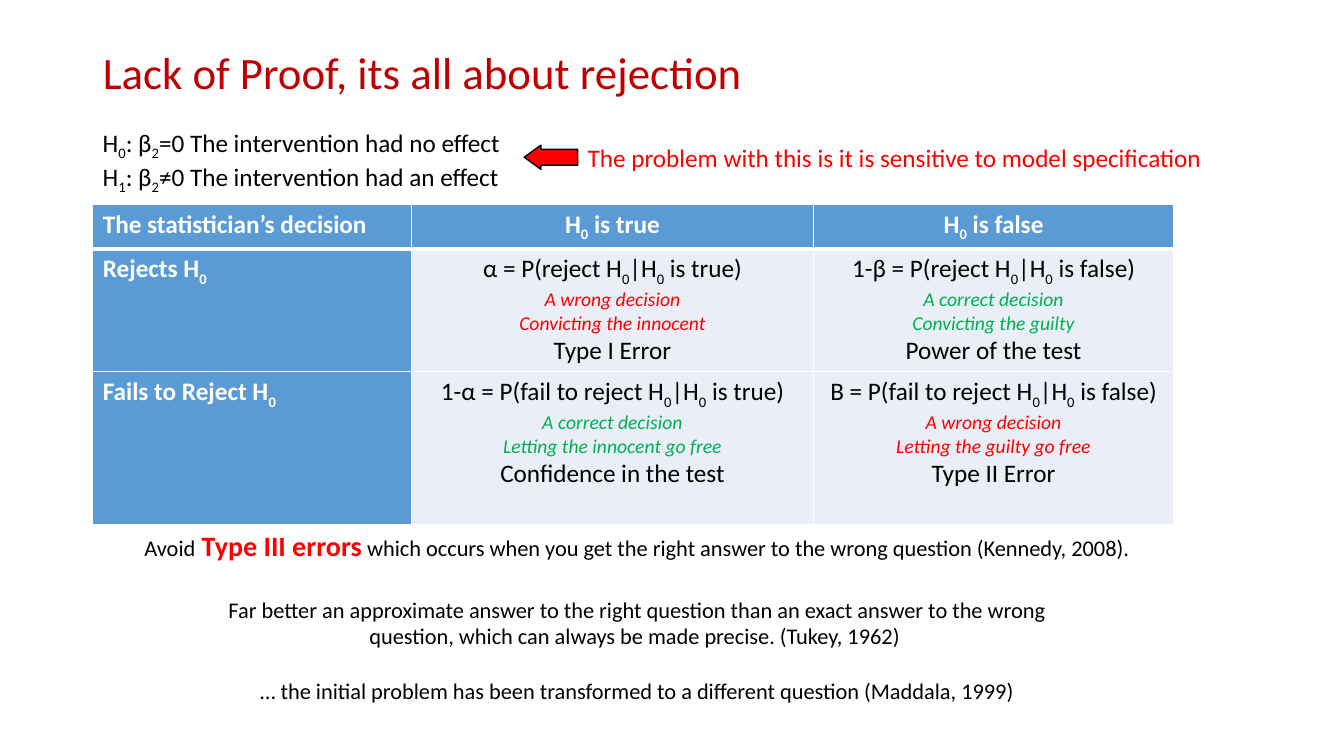
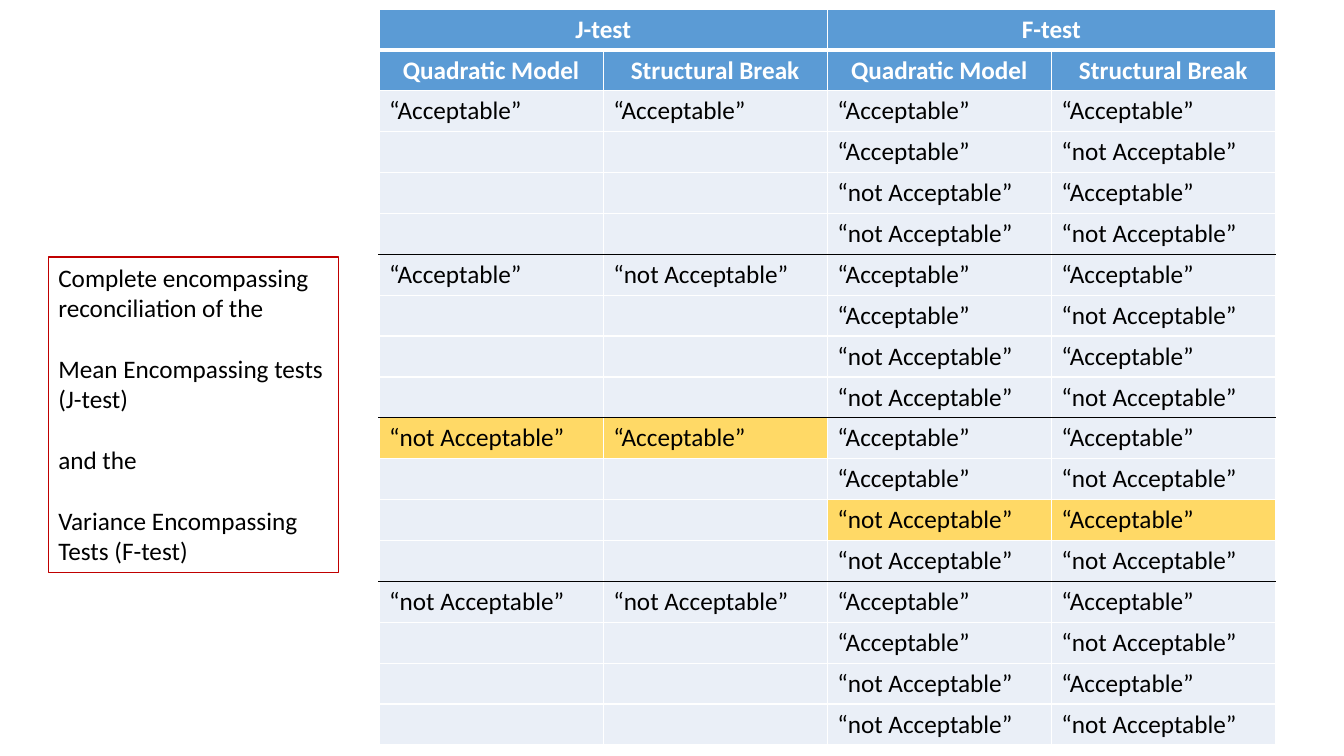
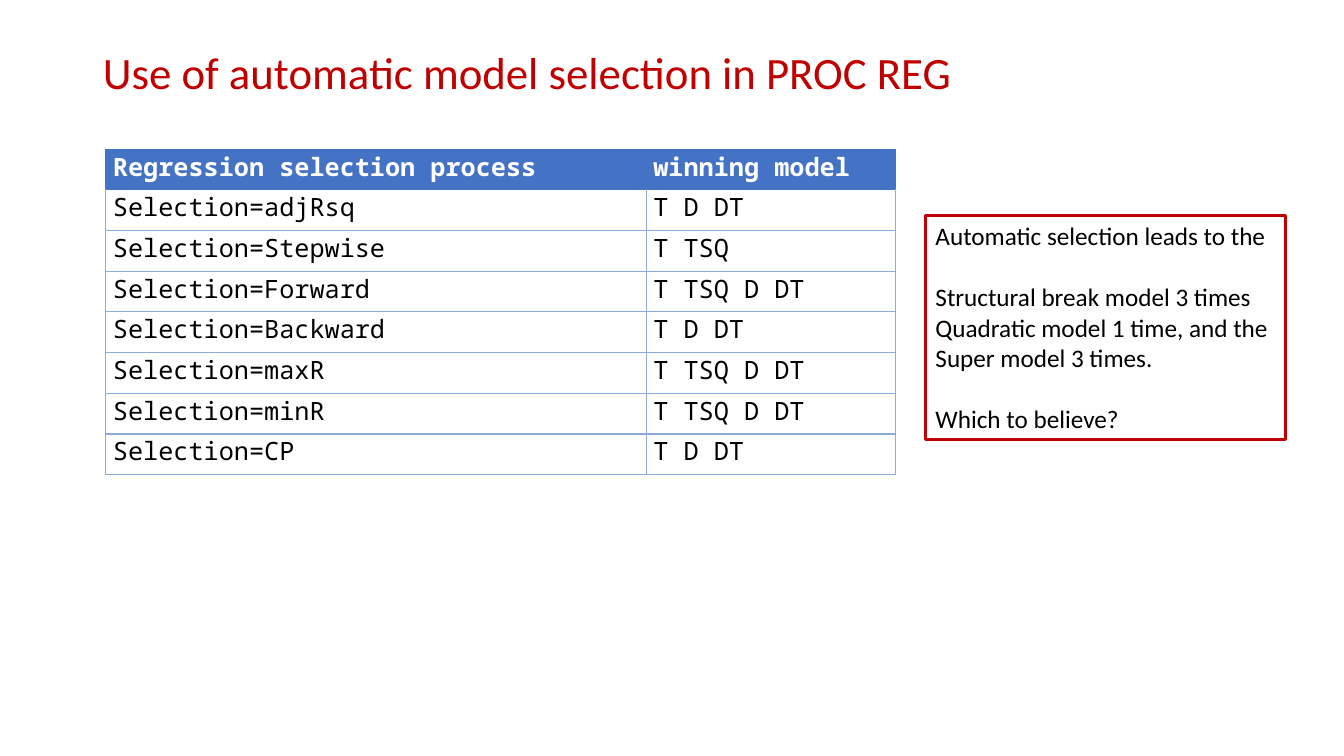
from dataclasses import dataclass, replace
from itertools import product

from pptx import Presentation
from pptx import util as u
from pptx.dml.color import RGBColor
from pptx.enum import shapes, text
from pptx.oxml import parse_xml
from pptx.oxml.ns import nsdecls

LEFT, CENTER = text.PP_ALIGN.LEFT, text.PP_ALIGN.CENTER


@dataclass(frozen=True)
class Style:
    size: int = 18
    color: str = "000000"
    bold: bool = False
    italic: bool = False
    font: str = "Calibri"


@dataclass(frozen=True)
class Theme:
    crimson: str = "C00000"
    red: str = "FF0000"
    black: str = "000000"
    white: str = "FFFFFF"
    header: str = "5B9BD5"
    cell: str = "EAEFF7"
    highlight: str = "FFD966"
    code_header: str = "4472C4"
    code_rule: str = "8EAADB"
    title: Style = Style(32, "C00000")
    body: Style = Style()
    head: Style = Style(color="FFFFFF", bold=True)
    alert: Style = Style(color="FF0000")
    small: Style = Style(16)
    emphasis: Style = Style(20, "FF0000", bold=True)
    wrong: Style = Style(14, "FF0000", italic=True)
    correct: Style = Style(14, "00B050", italic=True)
    code: Style = Style(font="Noto Sans Mono")
    code_head: Style = Style(color="FFFFFF", bold=True, font="Noto Sans Mono")


T = Theme()


def rgb(color):
    return RGBColor.from_string(color)


def add_run(p, words, style, subscript=False):
    r = p.add_run()
    r.text = words
    f = r.font
    f.size, f.name = u.Pt(style.size), style.font
    f.bold, f.italic = style.bold, style.italic
    f.color.rgb = rgb(style.color)
    if subscript:
        r._r.get_or_add_rPr().set("baseline", "-25000")


def add_marked(p, words, style):
    first, *rest = words.split("_")
    add_run(p, first, style)
    for part in rest:
        add_run(p, part[0], style, subscript=True)
        if part[1:]:
            add_run(p, part[1:], style)


def write(tf, paragraphs, align=LEFT, gaps=None):
    for i, runs in enumerate(paragraphs):
        p = tf.paragraphs[0] if i == 0 else tf.add_paragraph()
        p.alignment = align
        if gaps and i in gaps:
            p.space_before = u.Pt(gaps[i])
        for words, style in runs:
            add_marked(p, words, style)


def plain(lines, style):
    return [[(line, style)] for line in lines]


def add_title(s, words):
    tf = s.shapes.title.text_frame
    write(tf, plain([words], T.title))
    tf.paragraphs[0].line_spacing = 0.9


def add_text(s, at, paragraphs, align=LEFT, gaps=None):
    sp = s.shapes.add_textbox(*map(u.Inches, at))
    sp.text_frame.word_wrap = True
    write(sp.text_frame, paragraphs, align, gaps)
    return sp


def add_box(s, at, lines, line_width, gaps):
    sp = add_text(s, at, plain(lines, T.body), gaps=gaps)
    sp.line.color.rgb = rgb(T.crimson)
    sp.line.width = u.Pt(line_width)


def add_arrow(s, at):
    sp = s.shapes.add_shape(shapes.MSO_SHAPE.LEFT_ARROW, *map(u.Inches, at))
    sp.shadow.inherit = False
    sp.adjustments[0], sp.adjustments[1] = 0.65, 0.69
    sp.fill.solid()
    sp.fill.fore_color.rgb = rgb(T.red)
    sp.line.color.rgb = rgb(T.black)
    sp.line.width = u.Pt(1)


def add_table(s, left, top, cols, rows, edge, rules, head_edge=None, margins=None):
    width, height = sum(cols), sum(rows)
    frame = s.shapes.add_table(len(rows), len(cols), *map(u.Inches, (left, top, width, height)))
    tbl = frame.table
    tbl.first_row = tbl.horz_banding = False
    for col, w in zip(tbl.columns, cols):
        col.width = u.Inches(w)
    for i, (row, h) in enumerate(zip(tbl.rows, rows)):
        row.height = u.Inches(h)
        side = head_edge if head_edge and i == 0 else edge
        above, below = rules.get(i, edge), rules.get(i + 1, edge)
        for c in row.cells:
            set_borders(c, side, above, below)
            if margins:
                c.margin_left = c.margin_right = u.Inches(margins[0])
                c.margin_top = c.margin_bottom = u.Inches(margins[1])
    return tbl


def set_borders(c, side, above, below):
    tc_pr = c._tc.get_or_add_tcPr()
    for tag, (color, width) in zip("LRTB", (side, side, above, below)):
        tc_pr.append(parse_xml(
            f'<a:ln{tag} {nsdecls("a")} w="{u.Pt(width)}"><a:solidFill>'
            f'<a:srgbClr val="{color}"/></a:solidFill></a:ln{tag}>'))


def fill_cell(c, fill, paragraphs=(), align=LEFT):
    c.fill.solid()
    c.fill.fore_color.rgb = rgb(fill)
    write(c.text_frame, paragraphs, align)


def rejection_slide(prs):
    s = prs.slides.add_slide(prs.slide_layouts[5])
    add_title(s, "Lack of Proof, its all about rejection")
    tbl = add_table(s, 0.92, 2.03, (3.16, 3.99, 3.57), (0.44, 1.21, 1.52),
                    (T.white, 1), {1: (T.white, 3)})
    for j, words in enumerate(("The statistician’s decision", "H_0 is true", "H_0 is false")):
        fill_cell(tbl.cell(0, j), T.header, plain([words], T.head), CENTER if j else LEFT)
    wrong, correct = ("A wrong decision", T.wrong), ("A correct decision", T.correct)
    outcomes = (
        ("Rejects H_0",
         ("α = P(reject H_0|H_0 is true)", wrong, "Convicting the innocent", "Type I Error"),
         ("1-β = P(reject H_0|H_0 is false)", correct, "Convicting the guilty", "Power of the test")),
        ("Fails to Reject H_0",
         ("1-α = P(fail to reject H_0|H_0 is true)", correct, "Letting the innocent go free",
          "Confidence in the test"),
         ("Β = P(fail to reject H_0|H_0 is false)", wrong, "Letting the guilty go free",
          "Type II Error")),
    )
    for i, (decision, *cells) in enumerate(outcomes, 1):
        fill_cell(tbl.cell(i, 0), T.header, plain([decision], T.head))
        for j, (formula, verdict, meaning, name) in enumerate(cells, 1):
            paragraphs = [[(formula, T.body)], [verdict], [(meaning, verdict[1])], [(name, T.body)]]
            fill_cell(tbl.cell(i, j), T.cell, paragraphs, CENTER)
    add_text(s, (0.92, 1.21, 4.63, 0.71), plain(
        ("H_0: β_2=0 The intervention had no effect",
         "H_1: β_2≠0 The intervention had an effect"), T.body))
    add_text(s, (0.77, 5.19, 11.1, 0.44), [[
        ("Avoid", T.small), (" Type III errors", T.emphasis),
        (" which occurs when you get the right answer to the wrong question (Kennedy, 2008).",
         T.small)]], CENTER)
    add_text(s, (5.73, 1.36, 6.36, 0.4), plain(
        ["The problem with this is it is sensitive to model specification"], T.alert))
    add_arrow(s, (5.2, 1.44, 0.53, 0.24))
    add_text(s, (2.13, 5.86, 8.38, 1.18), plain(
        ("Far better an approximate answer to the right question than an exact answer to the "
         "wrong question, which can always be made precise. (Tukey, 1962) ",
         "… the initial problem has been transformed to a different question (Maddala, 1999)"),
        T.small), CENTER, {1: 19.5})


def encompassing_slide(prs):
    s = prs.slides.add_slide(prs.slide_layouts[6])
    black = (T.black, 1)
    tbl = add_table(s, 3.76, 0.09, [8.89 / 4] * 4, [7.3 / 18] * 18, (T.white, 1),
                    {1: (T.white, 3), 6: black, 10: black, 14: black})
    for j, test in ((0, "J-test"), (2, "F-test")):
        tbl.cell(0, j).merge(tbl.cell(0, j + 1))
        fill_cell(tbl.cell(0, j), T.header, plain([test], T.head), CENTER)
        for k, model in enumerate(("Quadratic Model", "Structural Break")):
            fill_cell(tbl.cell(1, j + k), T.header, plain([model], T.head), CENTER)
    yes, no = "“Acceptable”", "“not Acceptable”"
    pairs = list(product((yes, no), repeat=2))
    chosen = (no, yes)
    for i, (j_pair, f_pair) in enumerate(product(pairs, pairs)):
        first = f_pair == pairs[0]
        j_fill = T.highlight if first and j_pair == chosen else T.cell
        f_fill = T.highlight if j_pair == f_pair == chosen else T.cell
        for k in range(2):
            fill_cell(tbl.cell(i + 2, k), j_fill, plain([j_pair[k]], T.body) if first else ())
            fill_cell(tbl.cell(i + 2, k + 2), f_fill, plain([f_pair[k]], T.body))
    add_box(s, (0.48, 2.55, 2.88, 3.13),
            ("Complete encompassing reconciliation of the", "Mean Encompassing tests (J-test)",
             "and the", "Variance Encompassing Tests (F-test)"), 0.75, {1: 22, 2: 22, 3: 22})


def selection_slide(prs):
    s = prs.slides.add_slide(prs.slide_layouts[5])
    add_title(s, "Use of automatic model selection in PROC REG")
    rows = (
        ("Regression selection process", "winning model"),
        ("Selection=adjRsq", "T D DT"),
        ("Selection=Stepwise", "T TSQ"),
        ("Selection=Forward", "T TSQ D DT"),
        ("Selection=Backward", "T D DT"),
        ("Selection=maxR", "T TSQ D DT"),
        ("Selection=minR", "T TSQ D DT"),
        ("Selection=CP", "T D DT"),
    )
    head_edge = (T.code_header, 1)
    tbl = add_table(s, 1.05, 1.48, (5.36, 2.47), [3.23 / len(rows)] * len(rows),
                    (T.code_rule, 1), {0: head_edge, 1: head_edge}, head_edge, (0.07, 0))
    for i, row in enumerate(rows):
        fill, style = (T.white, T.code) if i else (T.code_header, T.code_head)
        for j, words in enumerate(row):
            fill_cell(tbl.cell(i, j), fill, plain([words], style))
    add_box(s, (9.18, 2.14, 3.57, 2.22),
            ("Automatic selection leads to the", "Structural break model 3 times",
             "Quadratic model 1 time, and the", "Super model 3 times.", "Which to believe?"),
            2.25, {1: 22, 4: 22})


def main():
    prs = Presentation()
    prs.slide_width, prs.slide_height = u.Inches(13.33), u.Inches(7.5)
    title = prs.slide_layouts[5].placeholders[0]
    title.left, title.top, title.width, title.height = map(u.Inches, (0.92, 0.4, 11.5, 0.69))
    rejection_slide(prs)
    encompassing_slide(prs)
    selection_slide(prs)
    prs.save("out.pptx")


if __name__ == "__main__":
    main()
